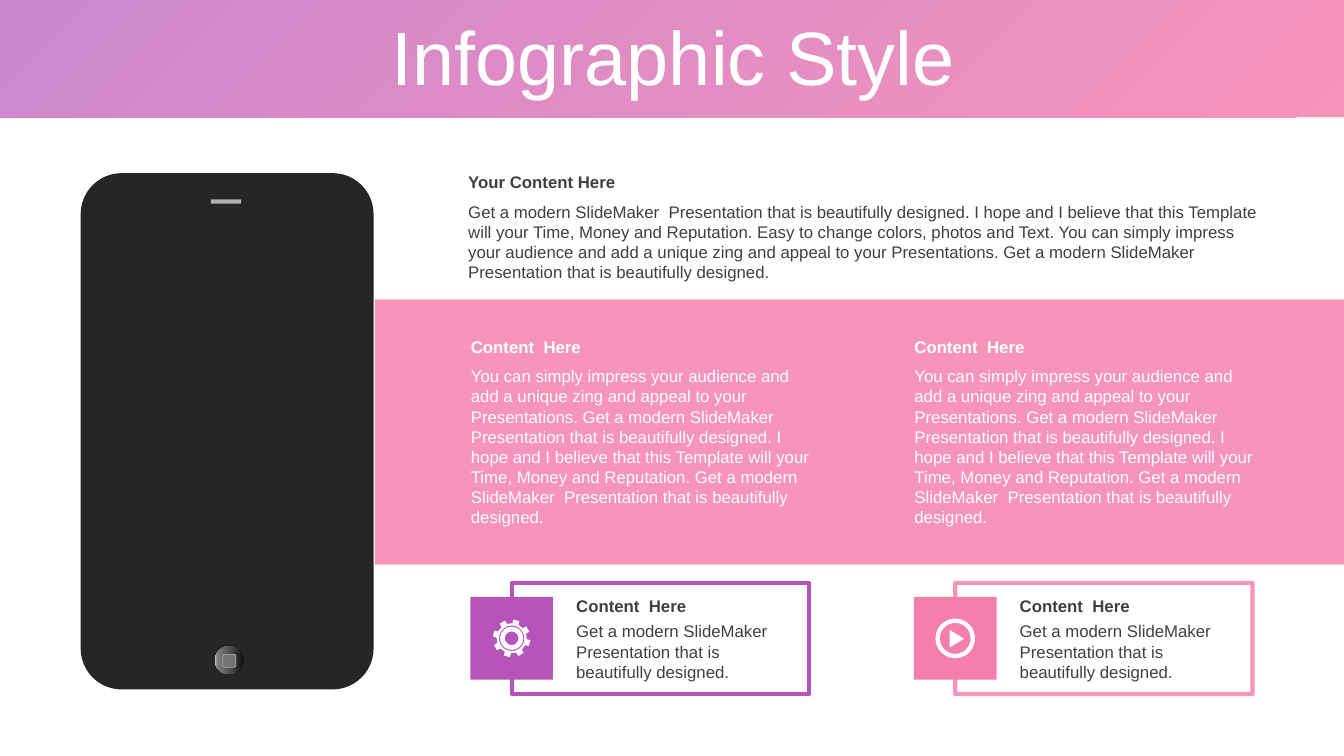
import math
import pptx
import pptx.dml.color
import pptx.enum.shapes
import pptx.enum.text
import pptx.oxml.ns
import pptx.util
from lxml import etree

MSO = pptx.enum.shapes.MSO_SHAPE
ANCHOR = pptx.enum.text.MSO_ANCHOR
FIT = pptx.enum.text.MSO_AUTO_SIZE
PINK, PURPLE, WHITE, DARK = "F5679D", "B754BA", "FFFFFF", "404040"
INTRO = ("Get a modern SlideMaker  Presentation that is beautifully designed. "
         "I hope and I believe that this Template will your Time, Money and Reputation. "
         "Easy to change colors, photos and Text. You can simply impress your audience "
         "and add a unique zing and appeal to your Presentations. "
         "Get a modern SlideMaker  Presentation that is beautifully designed.")
COLUMN = ("You can simply impress your audience and add a unique zing and appeal to your "
          "Presentations. Get a modern SlideMaker  Presentation that is beautifully designed. "
          "I hope and I believe that this Template will your Time, Money and Reputation. "
          "Get a modern SlideMaker  Presentation that is beautifully designed.")
CAPTION = "Get a modern SlideMaker  Presentation that is beautifully designed."


def rgb(color):
    return pptx.dml.color.RGBColor.from_string(color)


def part(box, x, y, w, h):
    left, top, width, height = box
    return (int(left + width * x / 100), int(top + height * y / 100),
            int(width * w / 100), int(height * h / 100))


def set_alpha(clr, percent):
    etree.SubElement(clr, pptx.oxml.ns.qn("a:alpha"), val=str(percent * 1000))


def add_shape(s, kind, box, fill=None, line=None, width=0, alpha=100):
    sp = s.shapes.add_shape(kind, *box)
    sp.shadow.inherit = False
    if fill:
        sp.fill.solid()
        sp.fill.fore_color.rgb = rgb(fill)
    else:
        sp.fill.background()
    if line:
        sp.line.color.rgb = rgb(line)
        sp.line.width = pptx.util.Pt(width)
    else:
        sp.line.fill.background()
    if alpha < 100:
        for clr in sp.element.spPr.iter(pptx.oxml.ns.qn("a:srgbClr")):
            set_alpha(clr, alpha)
    return sp


def set_gradient(sp, stops, angle, alpha=100):
    qn = pptx.oxml.ns.qn
    sp.fill.gradient()
    sp.fill.gradient_angle = angle
    gs_list = next(sp.element.spPr.iter(qn("a:gsLst")))
    for gs in list(gs_list):
        gs_list.remove(gs)
    for pos, color in stops:
        gs = etree.SubElement(gs_list, qn("a:gs"), pos=str(pos * 1000))
        clr = etree.SubElement(gs, qn("a:srgbClr"), val=color)
        if alpha < 100:
            set_alpha(clr, alpha)


def add_run(p, text, size, color, bold=False):
    r = p.add_run()
    r.text = text
    r.font.name = "Arial"
    r.font.size = pptx.util.Pt(size)
    r.font.bold = bold
    r.font.color.rgb = rgb(color)


def text_block(s, box, heading, body, color, head_height, body_top):
    rows = [(heading, 0, head_height, True, ANCHOR.MIDDLE),
            (body, body_top, 100 - body_top, False, ANCHOR.TOP)]
    for text, top, height, bold, anchor in rows:
        tf = s.shapes.add_textbox(*part(box, 0, top, 100, height)).text_frame
        tf.word_wrap = True
        tf.auto_size = FIT.SHAPE_TO_FIT_TEXT
        tf.vertical_anchor = anchor
        add_run(tf.paragraphs[0], text, 12, color, bold)


def header(s, box):
    sp = add_shape(s, MSO.RECTANGLE, box)
    set_gradient(sp, [(0, PINK), (100, PURPLE)], 135, 70)
    title = s.shapes.title
    title.left, title.top, title.width, title.height = part(box, 2.6, 18, 95, 68)
    sp.element.addnext(title.element)
    tf = title.text_frame
    tf.word_wrap = True
    tf.auto_size = FIT.NONE
    tf.vertical_anchor = ANCHOR.MIDDLE
    p = tf.paragraphs[0]
    p.alignment = pptx.enum.text.PP_ALIGN.CENTER
    p.line_spacing = 0.9
    add_run(p, "Infographic Style", 54, WHITE)


def phone(s, box):
    body = add_shape(s, MSO.ROUNDED_RECTANGLE, box, "262626")
    body.adjustments[0] = 0.14
    add_shape(s, MSO.RECTANGLE, part(box, 44.5, 5.1, 10.3, 0.8), "B0B0B0")
    button = add_shape(s, MSO.OVAL, part(box, 45.8, 91.6, 9.9, 5.5))
    set_gradient(button, [(0, "0F0F0F"), (56, "595959"), (91, "808080"), (100, "BFBFBF")], 180)
    add_shape(s, MSO.ROUNDED_RECTANGLE, part(box, 48.5, 93.2, 4.5, 2.5), "737373", "B0B0B0", 0.5)


def gear_icon(s, box):
    left, top, width, height = box

    def point(radius, degrees):
        a = math.radians(degrees)
        return (int(left + width * (0.5 + radius * math.sin(a))),
                int(top + height * (0.5 - radius * math.cos(a))))

    teeth = [point(radius, 15 + 45 * i + turn) for i in range(8)
             for radius, turn in [(0.38, -12), (0.475, -9), (0.475, 9), (0.38, 12)]]
    circles = [[point(radius, 10 * i) for i in range(36)] for radius in (0.32, 0.29, 0.17)]
    builder = s.shapes.build_freeform(*teeth[0], scale=1.0)
    builder.add_line_segments(teeth[1:], close=True)
    for circle in circles:
        builder.move_to(*circle[0])
        builder.add_line_segments(circle[1:], close=True)
    gear = builder.convert_to_shape()
    gear.shadow.inherit = False
    gear.fill.solid()
    gear.fill.fore_color.rgb = rgb(WHITE)
    gear.line.fill.background()


def play_icon(s, box):
    ring = add_shape(s, MSO.DONUT, box, WHITE)
    ring.adjustments[0] = 0.11
    arrow = add_shape(s, MSO.ISOSCELES_TRIANGLE, part(box, 32, 33, 44, 36), WHITE)
    arrow.rotation = 90


def card(s, box, line, alpha, badge_color, draw_icon):
    add_shape(s, MSO.RECTANGLE, part(box, 12.2, 0, 87.8, 100), None, line, 3, alpha)
    badge = part(box, 0, 12.7, 24.4, 74.5)
    add_shape(s, MSO.RECTANGLE, badge, badge_color)
    text_block(s, part(box, 28.3, 7.3, 68.2, 87.3), "Content  Here", CAPTION, DARK, 31, 26)
    draw_icon(s, part(badge, 26, 26, 48, 48))


def main():
    prs = pptx.Presentation()
    prs.slide_width = pptx.util.Inches(13.33)
    prs.slide_height = pptx.util.Inches(7.5)
    s = prs.slides.add_slide(prs.slide_layouts[5])
    page = (0, 0, prs.slide_width, prs.slide_height)
    add_shape(s, MSO.RECTANGLE, part(page, 27.9, 39.6, 72.1, 35.1), PINK, alpha=70)
    phone(s, part(page, 6, 22.9, 21.8, 68.3))
    header(s, part(page, 0, 0, 100, 15.5))
    text_block(s, part(page, 34.1, 22, 60.8, 16.1), "Your Content Here", INTRO, DARK, 24.8, 24.8)
    cards = [(PURPLE, 100, PURPLE, gear_icon), (PINK, 70, "F67EAC", play_icon)]
    for i, style in enumerate(cards):
        shift = 33 * i
        text_block(s, part(page, 34.3 + shift, 43.9, 26.8, 26.8),
                   "Content  Here", COLUMN, WHITE, 15, 14.4)
        card(s, part(page, 35 + shift, 77.1, 25.2, 14.7), *style)
    prs.save("out.pptx")


if __name__ == "__main__":
    main()
